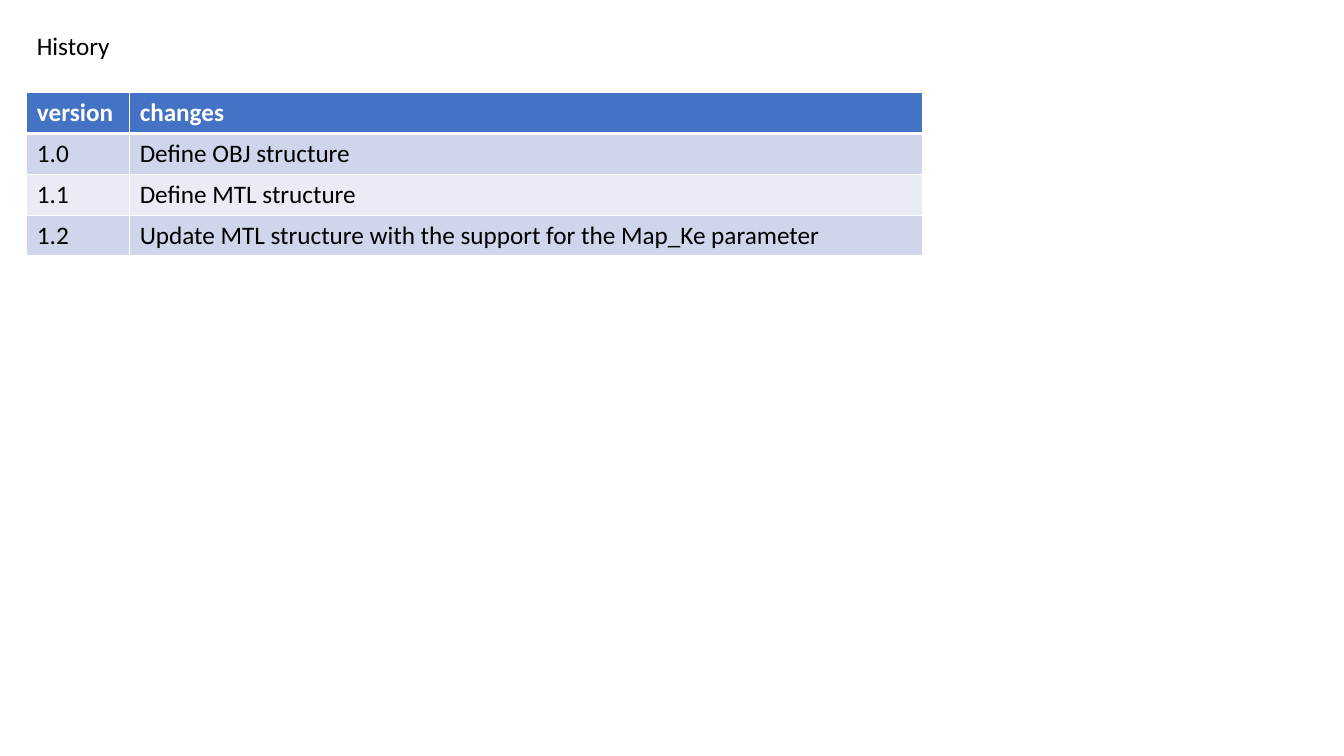
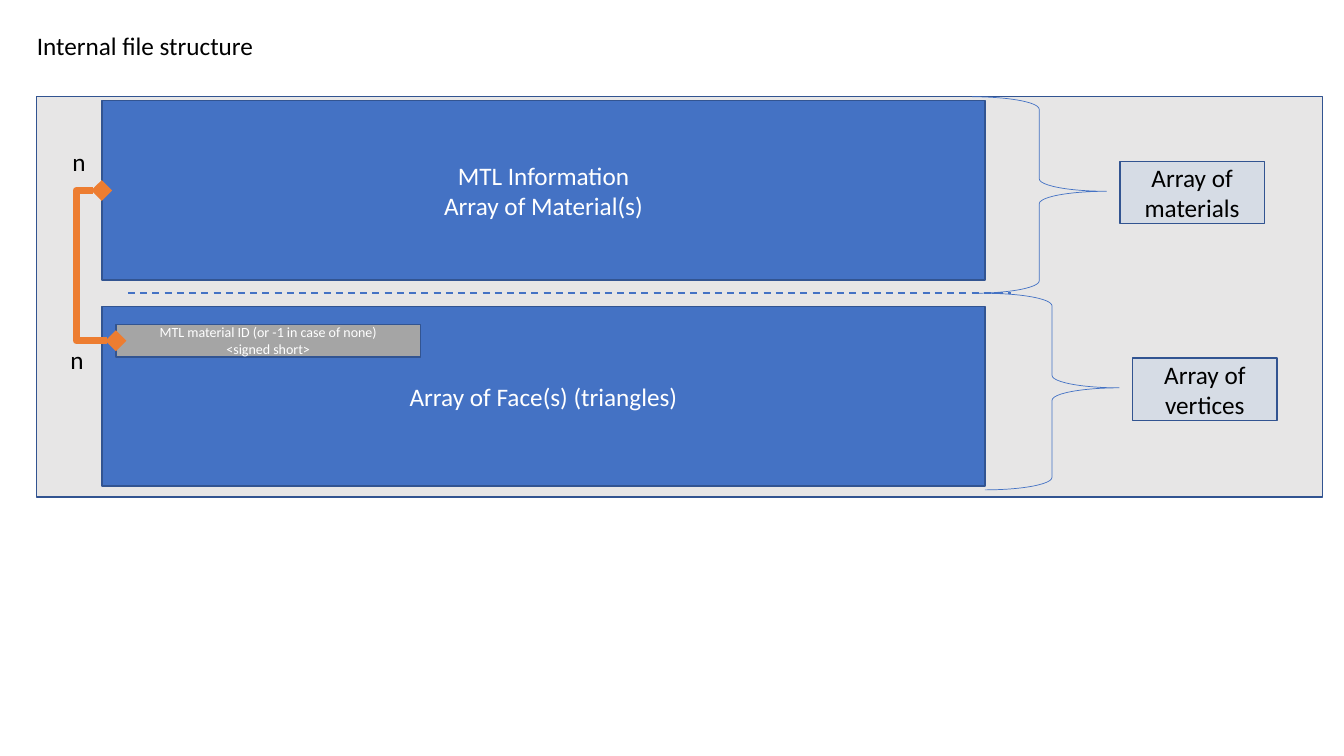
from dataclasses import dataclass
from typing import NamedTuple

from lxml import etree
from pptx import Presentation
from pptx import util as u
from pptx.dml.color import RGBColor
from pptx.enum import dml, shapes, text
from pptx.oxml.ns import qn


@dataclass(frozen=True)
class Theme:
    font: str = "Calibri"
    body: float = 18
    small: float = 10
    black: str = "000000"
    white: str = "FFFFFF"
    blue: str = "4472C4"
    edge: str = "325491"
    panel: str = "E7E6E6"
    pale: str = "D6DCE5"
    gray: str = "A5A5A5"
    accent: str = "ED7D31"
    odd: str = "CFD5EA"
    even: str = "E9EBF5"
    thin: float = 0.5
    rule: float = 1
    dash: float = 1.25
    heavy: float = 3
    link: float = 5


class Box(NamedTuple):
    col: float
    row: float
    wide: float
    high: float

    def move(self, cols: float, rows: float) -> "Box":
        return self._replace(col=self.col + cols, row=self.row + rows)


class Block(NamedTuple):
    box: Box
    fill: str
    words: str = ""
    color: str = "FFFFFF"
    size: float = 18


T = Theme()
COLS, ROWS = 40, 30
WIDE, HIGH = u.Inches(13.33), u.Inches(7.5)
TITLE = Box(0.8, 1, 38.92, 1.6)
STEP = (0.38, 7.8)


def across(cols: float) -> int:
    return round(WIDE * cols / COLS)


def down(rows: float) -> int:
    return round(HIGH * rows / ROWS)


def place(box: Box) -> tuple[int, int, int, int]:
    return across(box.col), down(box.row), across(box.wide), down(box.high)


def rgb(code: str) -> RGBColor:
    return RGBColor.from_string(code)


def paint(item, code: str) -> None:
    item.fill.solid()
    item.fill.fore_color.rgb = rgb(code)


def stroke(item, code: str, width: float) -> None:
    item.line.color.rgb = rgb(code)
    item.line.width = u.Pt(width)


def write(frame, words: str, color: str = T.black, size: float = T.body,
          bold: bool = False, align=text.PP_ALIGN.LEFT) -> None:
    para = frame.paragraphs[0]
    para.alignment = align
    for i, part in enumerate(words.split("\n")):
        if i:
            para.add_line_break()
        run = para.add_run()
        run.text = part
        font = run.font
        font.name, font.size, font.bold = T.font, u.Pt(size), bold
        font.color.rgb = rgb(color)


def label(slide, box: Box, words: str) -> None:
    frame = slide.shapes.add_textbox(*place(box)).text_frame
    frame.word_wrap = True
    frame.auto_size = text.MSO_AUTO_SIZE.SHAPE_TO_FIT_TEXT
    write(frame, words)


def block(slide, spec_: Block) -> None:
    item = slide.shapes.add_shape(shapes.MSO_SHAPE.RECTANGLE, *place(spec_.box))
    item.shadow.inherit = False
    paint(item, spec_.fill)
    stroke(item, T.edge, T.rule)
    if spec_.words:
        frame = item.text_frame
        frame.word_wrap = True
        frame.vertical_anchor = text.MSO_ANCHOR.MIDDLE
        write(frame, spec_.words, spec_.color, spec_.size,
              align=text.PP_ALIGN.CENTER)


def brace(slide, box: Box) -> None:
    item = slide.shapes.add_shape(shapes.MSO_SHAPE.RIGHT_BRACE, *place(box))
    item.shadow.inherit = False
    item.adjustments[0], item.adjustments[1] = 0.093, 0.481
    item.fill.background()
    stroke(item, T.blue, T.thin)


def join(slide, kind, start: tuple[float, float], end: tuple[float, float],
         color: str, width: float):
    line = slide.shapes.add_connector(
        kind, across(start[0]), down(start[1]), across(end[0]), down(end[1]))
    stroke(line, color, width)
    etree.SubElement(line._element.spPr, qn("a:effectLst"))
    return line


def bend(line, share: float) -> None:
    geom = line._element.spPr.find(qn("a:prstGeom"))
    guides = geom.find(qn("a:avLst"))
    if guides is None:
        guides = etree.SubElement(geom, qn("a:avLst"))
    etree.SubElement(guides, qn("a:gd"), name="adj1",
                     fmla=f"val {round(share * 100000)}")
    stem = line._element.spPr.find(qn("a:ln"))
    for end in ("a:headEnd", "a:tailEnd"):
        etree.SubElement(stem, qn(end), type="diamond")


def border(cell, side: str, width: float) -> None:
    props = cell._tc.get_or_add_tcPr()
    line = etree.SubElement(props, qn(f"a:ln{side}"), w=str(u.Pt(width)))
    fill = etree.SubElement(line, qn("a:solidFill"))
    etree.SubElement(fill, qn("a:srgbClr"), val=T.white)


def grid(slide, col: float, row: float, widths: list[float], high: float,
         data: list[tuple[str, str]]) -> None:
    box = Box(col, row, sum(widths), high * len(data))
    table = slide.shapes.add_table(len(data), len(widths), *place(box)).table
    for column, wide in zip(table.columns, widths):
        column.width = across(wide)
    for r, entry in enumerate(data):
        table.rows[r].height = down(high)
        head = r == 0
        back = T.blue if head else T.odd if r % 2 else T.even
        for c, words in enumerate(entry):
            cell = table.cell(r, c)
            for side in "LRTB":
                thick = (r, side) in ((0, "B"), (1, "T"))
                border(cell, side, T.heavy if thick else T.rule)
            paint(cell, back)
            write(cell.text_frame, words, T.white if head else T.black, bold=head)


def start(deck, title: str):
    slide = deck.slides.add_slide(deck.slide_layouts[6])
    label(slide, TITLE, title)
    return slide


def history(deck) -> None:
    slide = start(deck, "History")
    grid(slide, TITLE.col, 3.68, [3.06, 23.61], 1.62, [
        ("version", "changes"),
        ("1.0", "Define OBJ structure"),
        ("1.1", "Define MTL structure"),
        ("1.2", "Update MTL structure with the support for the Map_Ke parameter"),
    ])


def layout(deck) -> None:
    slide = start(deck, "Internal file structure")
    band = Box(3.03, 4, 26.29, 7.12)
    block(slide, Block(Box(1.08, 3.84, 38.29, 15.88), T.panel))
    block(slide, Block(band, T.blue, "MTL Information\nArray of Material(s)"))
    block(slide, Block(band.move(0, 8.16), T.blue, "Array of Face(s) (triangles)"))

    split = join(slide, shapes.MSO_CONNECTOR.STRAIGHT, (3.81, 11.64),
                 (30.1, 11.64), T.blue, T.dash)
    split.line.dash_style = dml.MSO_LINE.DASH

    curl = Box(28.93, 3.84, 4, 7.8)
    tag = Box(33.33, 6.4, 4.3, 2.48)
    for i, words in enumerate(("Array of materials", "Array of vertices")):
        shift = (STEP[0] * i, STEP[1] * i)
        brace(slide, curl.move(*shift))
        block(slide, Block(tag.move(*shift), T.pale, words, T.black))

    key = Box(3.45, 12.88, 9.06, 1.28)
    block(slide, Block(key, T.gray,
                       "MTL material ID (or -1 in case of none)\n<signed short>",
                       size=T.small))
    link = join(slide, shapes.MSO_CONNECTOR.ELBOW,
                (key.col, key.row + key.high / 2),
                (band.col, band.row + band.high / 2), T.accent, T.link)
    bend(link, 2.81)
    for col, row in ((1.86, 5.6), (1.8, 13.48)):
        label(slide, Box(col, row, 1.11, 1.6), "n")


def main() -> None:
    deck = Presentation()
    deck.slide_width, deck.slide_height = WIDE, HIGH
    history(deck)
    layout(deck)
    deck.save("out.pptx")


if __name__ == "__main__":
    main()
